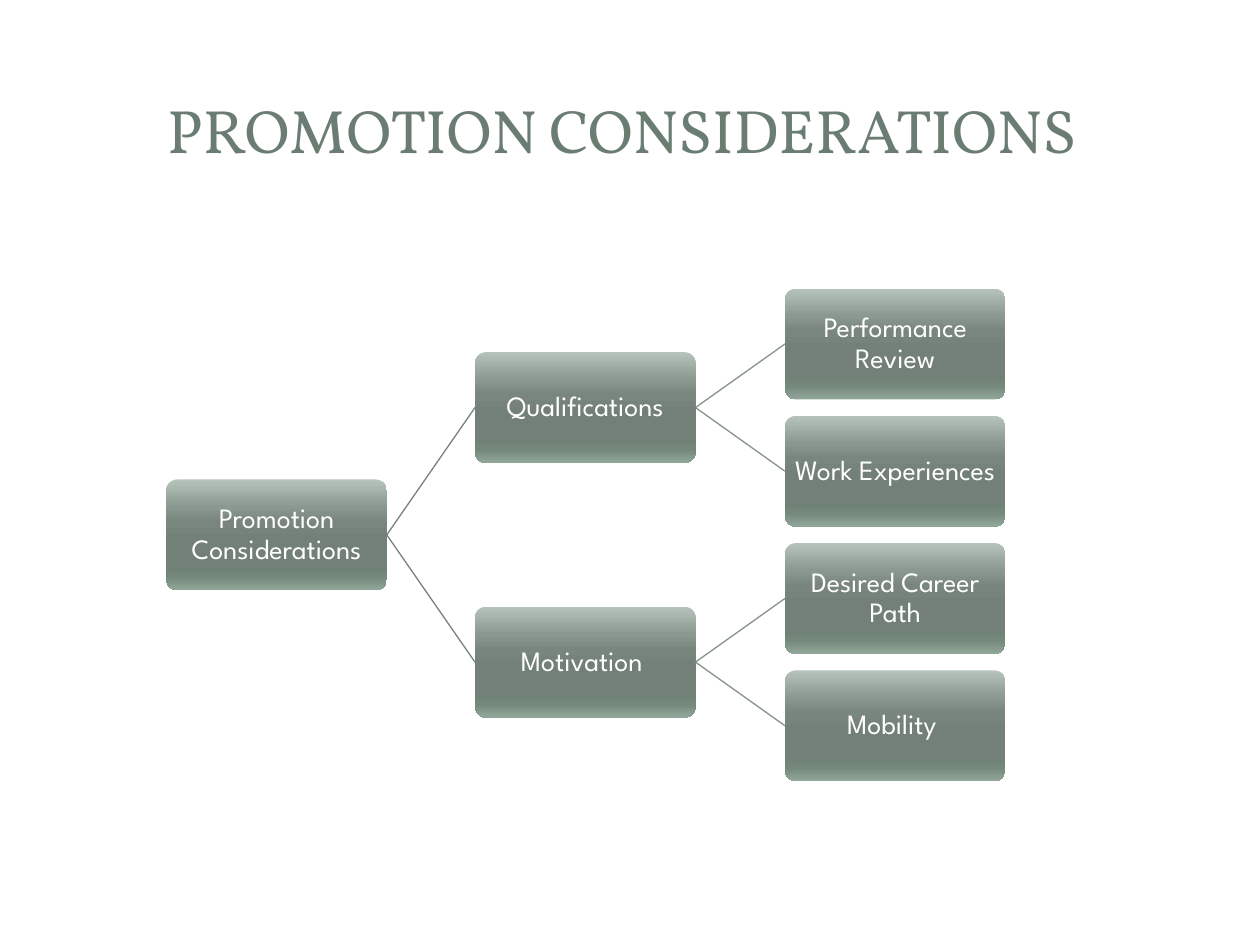
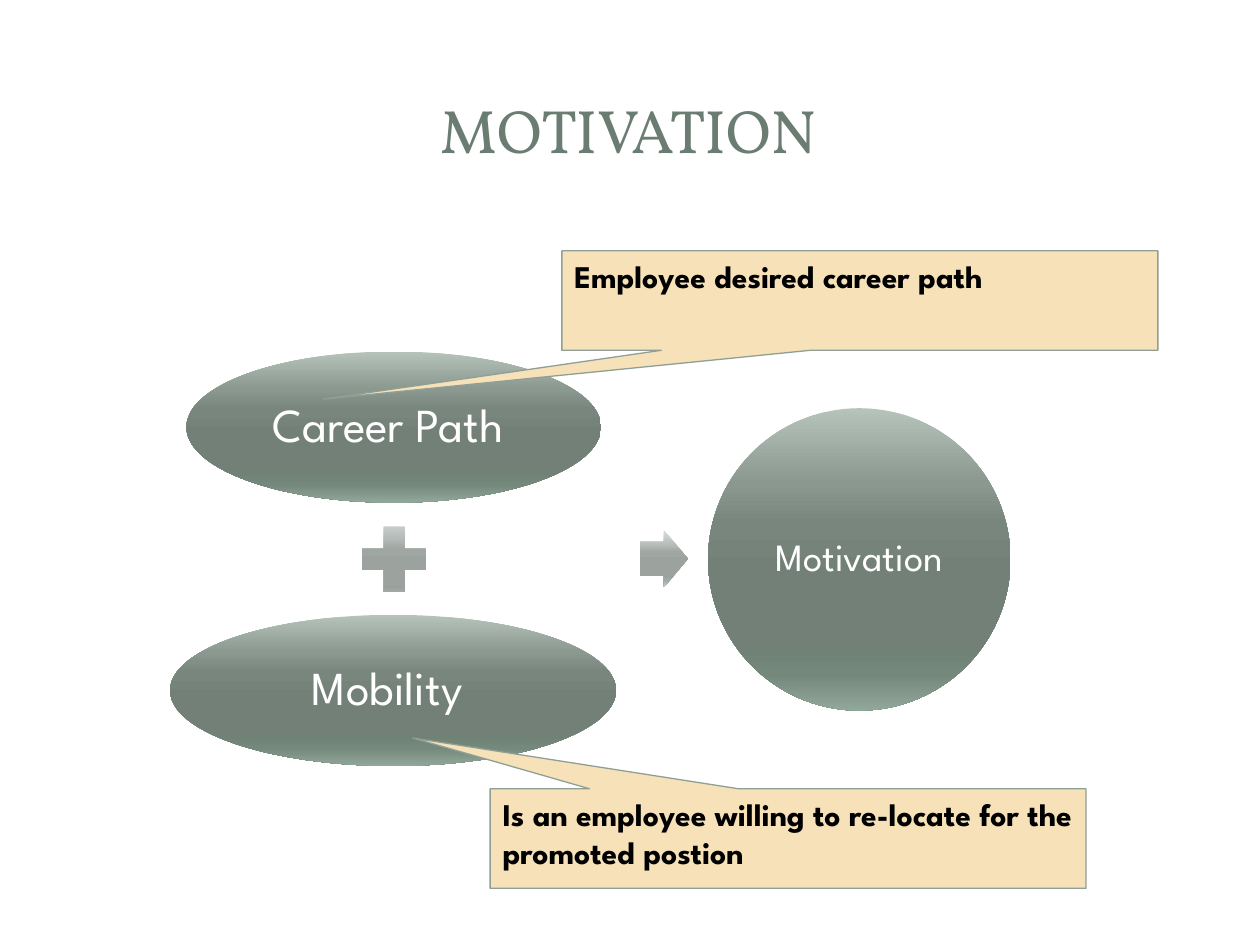
from lxml import etree
from pptx import Presentation
from pptx.dml.color import RGBColor
from pptx.enum.shapes import MSO_CONNECTOR, MSO_SHAPE
from pptx.enum.text import MSO_ANCHOR, MSO_AUTO_SIZE, PP_ALIGN
from pptx.oxml.ns import qn
from pptx.util import Inches, Pt

STRAIGHT = MSO_CONNECTOR.STRAIGHT
ROUNDED, OVAL = MSO_SHAPE.ROUNDED_RECTANGLE, MSO_SHAPE.OVAL
PLUS, ARROW = MSO_SHAPE.MATH_PLUS, MSO_SHAPE.RIGHT_ARROW
CALLOUT = MSO_SHAPE.RECTANGULAR_CALLOUT
TOP, MIDDLE = MSO_ANCHOR.TOP, MSO_ANCHOR.MIDDLE
LEFT, CENTER = PP_ALIGN.LEFT, PP_ALIGN.CENTER
NO_AUTOFIT = MSO_AUTO_SIZE.NONE
RIGHT_SIDE, LEFT_SIDE = 3, 1

TITLE_GREEN = RGBColor(0x6B, 0x7D, 0x72)
WHITE = RGBColor(0xFF, 0xFF, 0xFF)
BLACK = RGBColor(0x00, 0x00, 0x00)
SAND = RGBColor(0xF6, 0xE1, 0xB8)
CALLOUT_EDGE = RGBColor(0x8F, 0x9F, 0x96)
ROOT_LINE = RGBColor(0x76, 0x82, 0x7B)
BRANCH_LINE = RGBColor(0x85, 0x93, 0x8B)

STOPS = (0, 25, 38, 55, 80, 88, 100)
GREEN_GRADIENT = [RGBColor.from_string(c) for c in (
    "B6C3BB", "8B9890", "79867E", "728078", "708176", "75887C", "91A79A")]
GREY_GRADIENT = [RGBColor.from_string(c) for c in (
    "D7DEDA", "B7BDBA", "A0A6A2", "9CA29E", "9AA19D", "A2AAA5", "C7D0CA")]

TITLE_FONT, BODY_FONT = "Vollkorn", "League Spartan"

NODE_W, NODE_H = 1.75, 0.88
LEVEL_LEFTS = (1.32, 3.77, 6.23)
FIRST_LEAF_TOP, LEAF_STEP = 2.29, 1.01
ROOT = "Promotion Considerations"
BRANCHES = {
    "Qualifications": ("Performance Review", "Work Experiences"),
    "Motivation ": ("Desired Career Path", "Mobility "),
}


class Deck:
    def __init__(self):
        self.prs = Presentation()
        self.prs.slide_width, self.prs.slide_height = Inches(10), Inches(7.5)
        self.slide = None

    def add_slide(self, title):
        self.slide = self.prs.slides.add_slide(self.prs.slide_layouts[5])
        sp = self.slide.shapes.title
        sp.left, sp.top = Inches(0.47), Inches(0.45)
        sp.width, sp.height = Inches(9.03), Inches(1.14)
        self.set_text(sp, title, 35, TITLE_GREEN, font=TITLE_FONT)

    def set_text(self, sp, text, size, color, font=BODY_FONT, bold=False,
                 align=CENTER, anchor=MIDDLE):
        tf = sp.text_frame
        tf.text = text
        tf.word_wrap = True
        tf.auto_size = NO_AUTOFIT
        tf.vertical_anchor = anchor
        p = tf.paragraphs[0]
        p.alignment = align
        p.font.name, p.font.size, p.font.bold = font, Pt(size), bold
        p.font.color.rgb = color
        return p

    def shape(self, kind, box, adjustments=()):
        sp = self.slide.shapes.add_shape(kind, *map(Inches, box))
        sp.shadow.inherit = False
        for i, value in enumerate(adjustments):
            sp.adjustments[i] = value
        return sp

    def glossy(self, kind, box, colors=GREEN_GRADIENT, adjustments=()):
        """Add a borderless shape shaded from top to bottom."""
        sp = self.shape(kind, box, adjustments)
        sp.line.fill.background()
        sp.fill.gradient()
        sp.fill.gradient_angle = 270
        stops = sp._element.spPr.find(".//" + qn("a:gsLst"))
        for gs in list(stops):
            stops.remove(gs)
        for pos, color in zip(STOPS, colors):
            gs = etree.SubElement(stops, qn("a:gs"), pos=str(pos * 1000))
            etree.SubElement(gs, qn("a:srgbClr"), val=str(color))
        return sp

    def label(self, kind, box, text, size, inset, adjustments=()):
        """Add a glossy shape with centred white text."""
        sp = self.glossy(kind, box, adjustments=adjustments)
        tf = sp.text_frame
        tf.margin_left = tf.margin_right = Inches(inset)
        tf.margin_top = tf.margin_bottom = Inches(inset)
        self.set_text(sp, text, size, WHITE).line_spacing = 0.9
        return sp

    def node(self, level, top, text):
        box = (LEVEL_LEFTS[level], top, NODE_W, NODE_H)
        return self.label(ROUNDED, box, text, 16, 0.01, (0.1,))

    def link(self, parent, child, color):
        line = self.slide.shapes.add_connector(STRAIGHT, 0, 0, 0, 0)
        line.begin_connect(parent, RIGHT_SIDE)
        line.end_connect(child, LEFT_SIDE)
        line.line.color.rgb = color
        line.line.width = Pt(0.75)
        etree.SubElement(line._element.spPr, qn("a:effectLst"))

    def callout(self, left, top, text, pointer):
        sp = self.shape(CALLOUT, (left, top, 4.73, 0.79), pointer)
        sp.fill.solid()
        sp.fill.fore_color.rgb = SAND
        sp.line.color.rgb = CALLOUT_EDGE
        sp.line.width = Pt(0.75)
        self.set_text(sp, text, 18, BLACK, bold=True, align=LEFT, anchor=TOP)


def add_considerations(deck):
    deck.add_slide("PROMOTION CONSIDERATIONS ")
    leaf_count = sum(len(leaves) for leaves in BRANCHES.values())
    root_top = FIRST_LEAF_TOP + LEAF_STEP * (leaf_count - 1) / 2
    root = deck.node(0, root_top, ROOT)
    top = FIRST_LEAF_TOP
    for name, leaves in BRANCHES.items():
        branch = deck.node(1, top + LEAF_STEP * (len(leaves) - 1) / 2, name)
        deck.link(root, branch, ROOT_LINE)
        for leaf in leaves:
            deck.link(branch, deck.node(2, top, leaf), BRANCH_LINE)
            top += LEAF_STEP


def add_motivation(deck):
    deck.add_slide("MOTIVATION")
    deck.label(OVAL, (1.48, 2.79, 3.29, 1.2), "Career Path ", 27, 0.04)
    deck.glossy(PLUS, (2.78, 4.09, 0.7, 0.7), GREY_GRADIENT)
    deck.label(OVAL, (1.35, 4.88, 3.54, 1.2), "Mobility ", 27, 0.04)
    deck.glossy(ARROW, (5.08, 4.21, 0.38, 0.45), GREY_GRADIENT, (0.6, 0.5))
    deck.label(OVAL, (5.62, 3.24, 2.4, 2.4), "Motivation", 22, 0.03)
    deck.callout(4.46, 1.99, "Employee desired career path", (-0.9, 0.99))
    deck.callout(
        3.89, 6.26,
        "Is an employee willing to re-locate for the promoted postion",
        (-0.63, -1.01))


def main():
    deck = Deck()
    add_considerations(deck)
    add_motivation(deck)
    deck.prs.save("out.pptx")


if __name__ == "__main__":
    main()
